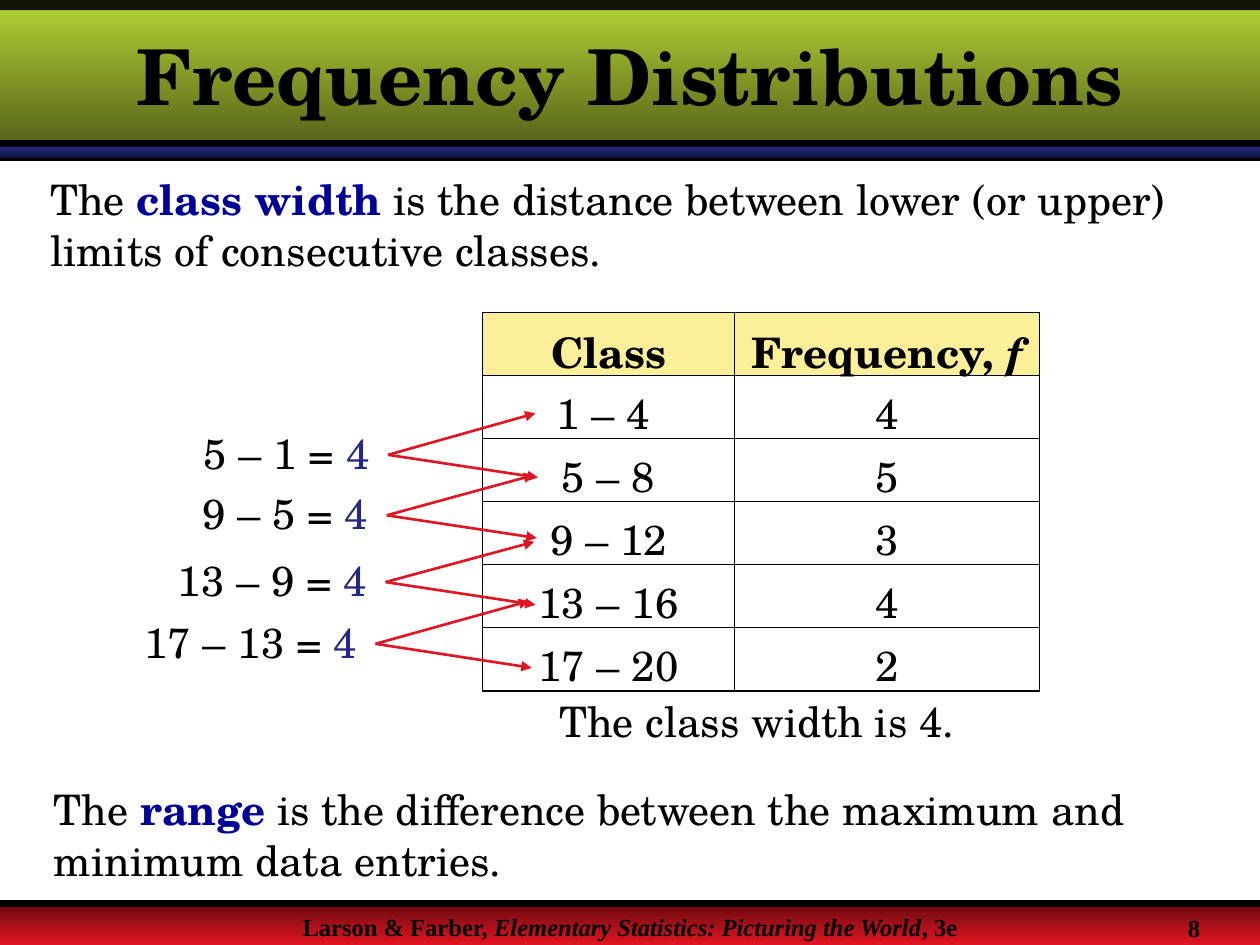
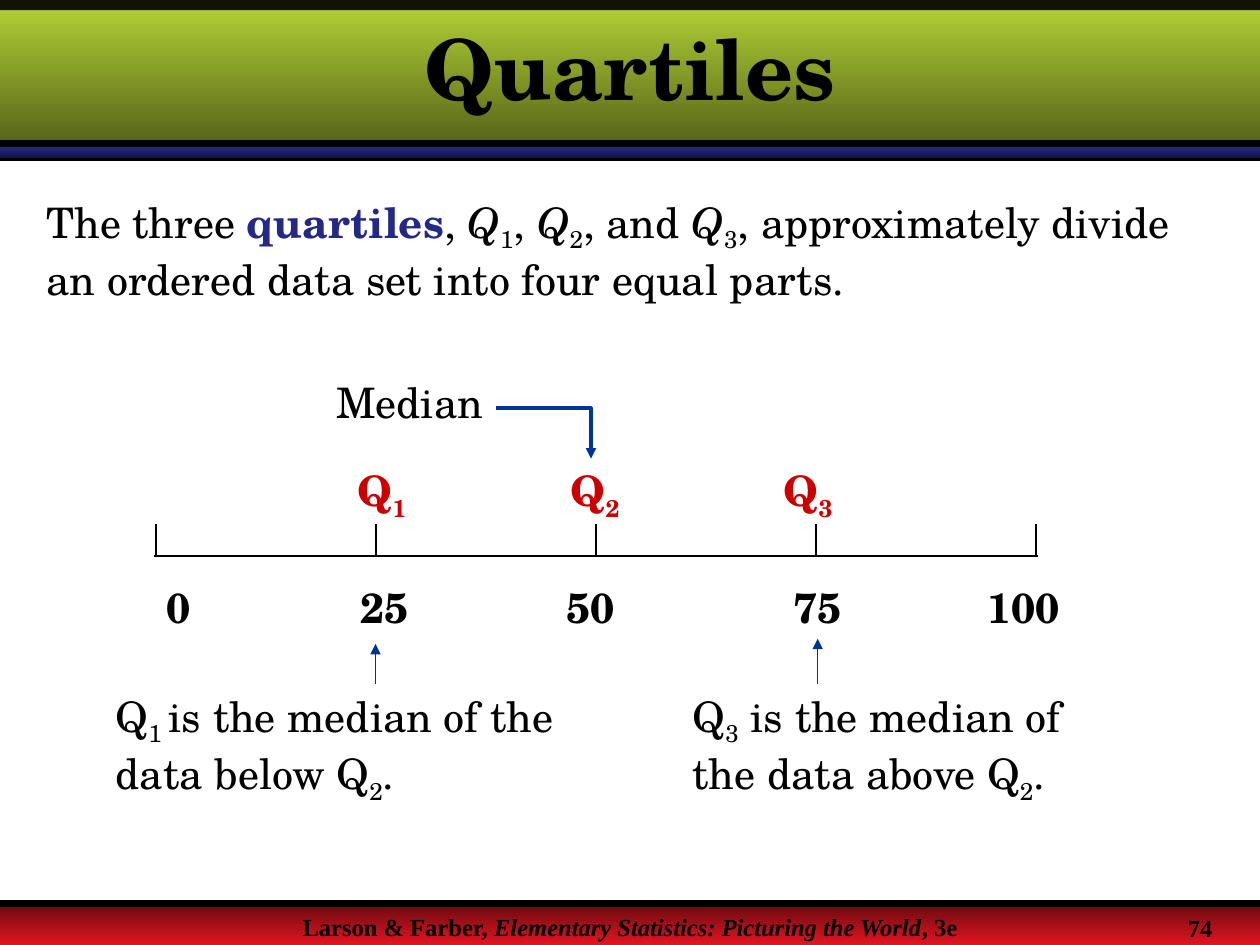
from lxml import etree
from pptx import Presentation
from pptx import util as u
from pptx.dml.color import RGBColor
from pptx.enum import shapes, text
from pptx.oxml.ns import qn

SERIF, FOOTER_FONT = "TeX Gyre Schola", "Times New Roman"
BLACK, RED, NAVY = "000000", "E11521", "242985"
TERM, QUARTILE, ARROW, HEADER = "000099", "CC0000", "003399", "FBE136"
BOLD_TERM = {"bold": True, "color": TERM}
ITALIC, SUB = {"italic": True}, {"sub": True}
LEFT, CENTER, RIGHT = text.PP_ALIGN.LEFT, text.PP_ALIGN.CENTER, text.PP_ALIGN.RIGHT


def rgb(value):
    return RGBColor.from_string(value)


def inches(*lengths):
    return [u.Inches(length) for length in lengths]


def add_alpha(fill_parent, percent):
    color = fill_parent.find(qn("a:solidFill"))[0]
    etree.SubElement(color, qn("a:alpha")).set("val", str(percent * 1000))


# Text
def style(font, size=24, color=BLACK, bold=False, name=SERIF):
    font.name, font.size, font.bold = name, u.Pt(size), bold
    font.color.rgb = rgb(color)


def fill_paragraph(p, runs, align=LEFT, **font):
    """Runs are plain strings or (string, options) pairs."""
    p.alignment = align
    style(p.font, **font)
    for run in [runs] if isinstance(runs, str) else runs:
        content, options = (run, {}) if isinstance(run, str) else run
        r = p.add_run()
        r.text = content
        if "bold" in options:
            r.font.bold = True
        if "italic" in options:
            r.font.italic = True
        if "color" in options:
            r.font.color.rgb = rgb(options["color"])
        if "sub" in options:
            r._r.get_or_add_rPr().set("baseline", "-25000")


def add_text(s, box, runs, **options):
    tf = s.shapes.add_textbox(*inches(*box)).text_frame
    tf.word_wrap = True
    fill_paragraph(tf.paragraphs[0], runs, **options)


def set_title(s, box, title, size):
    sp = s.shapes.title
    sp.left, sp.top, sp.width, sp.height = inches(*box)
    tf = sp.text_frame
    tf.auto_size = text.MSO_AUTO_SIZE.NONE
    tf.vertical_anchor = text.MSO_ANCHOR.MIDDLE
    fill_paragraph(tf.paragraphs[0], title, CENTER, size=size, bold=True)


# Lines and bands
def set_line(sp, color, width, arrow):
    sp.line.color.rgb = rgb(color)
    sp.line.width = u.Pt(width)
    if arrow:
        ln = sp._element.spPr.find(qn("a:ln"))
        etree.SubElement(ln, qn("a:tailEnd")).set("type", "triangle")


def add_line(s, start, end, color=BLACK, width=1, arrow=False):
    line = s.shapes.add_connector(
        shapes.MSO_CONNECTOR.STRAIGHT, *inches(*start, *end))
    set_line(line, color, width, arrow)
    etree.SubElement(line._element.spPr, qn("a:effectLst"))


def add_bent_arrow(s, points, color, width):
    start, *rest = [tuple(inches(*point)) for point in points]
    builder = s.shapes.build_freeform(*start)
    builder.add_line_segments(rest, close=False)
    sp = builder.convert_to_shape()
    sp.shadow.inherit = False
    sp.fill.background()
    set_line(sp, color, width, True)


def add_band(s, top, height, *colors):
    sp = s.shapes.add_shape(
        shapes.MSO_SHAPE.RECTANGLE, *inches(0, top, 10, height))
    sp.shadow.inherit = False
    sp.line.fill.background()
    if len(colors) == 1:
        sp.fill.solid()
        sp.fill.fore_color.rgb = rgb(colors[0])
        add_alpha(sp._element.spPr, 90)
        return
    sp.fill.gradient()
    sp.fill.gradient_angle = 270
    for stop, color in zip(sp.fill.gradient_stops, colors):
        stop.color.rgb = rgb(color)


def dress_layout(prs, layout):
    """Draw the shared bands and footer, then hand them to the layout."""
    for placeholder in list(layout.placeholders)[1:]:
        layout.shapes._spTree.remove(placeholder._element)
    s = prs.slides[0]
    add_band(s, 7.17, 0.33, "680A0F", RED)
    add_line(s, (0, 1.25), (10, 1.25), width=4)
    add_text(s, (0, 7.19, 10, 0.2),
             ["Larson & Farber, ",
              ("Elementary Statistics: Picturing the World", ITALIC), ", 3e"],
             align=CENTER, size=14, bold=True, name=FOOTER_FONT)
    add_band(s, 1.17, 0.08, NAVY, "11133E")
    add_band(s, 0, 1.17, "B5D335", "546219")
    add_line(s, (0, 7.17), (10, 7.17), width=4)
    add_band(s, 0, 0.08, BLACK)
    add_line(s, (0, 1.14), (10, 1.14), width=4)
    for sp in list(s.shapes):
        if not sp.is_placeholder:
            layout.shapes._spTree.append(sp._element)


def add_page_number(s, number):
    add_text(s, (9.33, 7.2, 0.67, 0.3), number,
             size=14, bold=True, name=FOOTER_FONT)


# Table
def set_borders(cell, widths):
    tcPr = cell._tc.get_or_add_tcPr()
    for side, width in widths.items():
        ln = etree.SubElement(tcPr, qn(f"a:ln{side}"), w=str(u.Pt(width)))
        solid = etree.SubElement(ln, qn("a:solidFill"))
        etree.SubElement(solid, qn("a:srgbClr"), val=BLACK)


def add_frequency_table(s, left, top, col_widths, row_height, rows):
    last_row, last_col = len(rows) - 1, len(col_widths) - 1
    table = s.shapes.add_table(
        len(rows), len(col_widths),
        *inches(left, top, sum(col_widths), row_height * len(rows))).table
    table.first_row = table.horz_banding = False
    for column, width in zip(table.columns, col_widths):
        column.width = u.Inches(width)
    thin, thick = 0.45, 1.08
    for i, row in enumerate(rows):
        table.rows[i].height = u.Inches(row_height)
        for j, content in enumerate(row):
            cell = table.cell(i, j)
            fill_paragraph(cell.text_frame.paragraphs[0], content, CENTER,
                           bold=i == 0)
            set_borders(cell, {"L": thin if j else thick,
                               "R": thick if j == last_col else thin,
                               "T": thin if i else thick,
                               "B": thick if i == last_row else thin})
            if i:
                cell.fill.background()
            else:
                cell.fill.solid()
                cell.fill.fore_color.rgb = rgb(HEADER)
                add_alpha(cell._tc.tcPr, 50)


# Slides
def build_class_width(s):
    add_page_number(s, "8")
    add_frequency_table(
        s, 3.83, 2.48, (2, 2.42), 0.5,
        [("Class", ["Frequency, ", ("f", ITALIC)]),
         ("1 – 4 ", "4"), ("5 – 8", "5"), ("9 – 12", "3"),
         ("13 – 16", "4"), ("17 – 20", "2")])
    set_title(s, (0, 0.05, 10, 1.08), "Frequency Distributions", 44)
    add_text(s, (0.3, 1.33, 9.17, 1.15),
             ["The ", ("class width", BOLD_TERM),
              " is the distance between lower (or upper) limits of "
              "consecutive classes."])
    add_text(s, (4.34, 5.47, 3.8, 0.5), "The class width is 4.")

    # Differences of lower limits, each pointing at its two classes
    differences = [
        ("5 – 1 = ", 3.03, 3.34, (4.25, 3.28), (4.27, 3.79)),
        ("9 – 5 = ", 3.02, 3.82, (4.24, 3.77), (4.26, 4.27)),
        ("13 – 9 = ", 3.01, 4.35, (4.24, 4.3), (4.25, 4.8)),
        ("17 – 13 = ", 2.93, 4.84, (4.2, 4.77), (4.22, 5.3))]
    for difference, right, top, *tips in differences:
        add_text(s, (right - 1.9, top, 1.9, 0.5),
                 [difference, ("4", {"color": NAVY})], align=RIGHT)
        for tip in tips:
            add_line(s, (right + 0.05, top + 0.27), tip, RED, 1.5, True)

    add_text(s, (0.33, 6.17, 9.17, 1.15),
             ["The ", ("range", BOLD_TERM),
              " is the difference between the maximum and minimum data "
              "entries."])


def build_quartiles(s):
    add_page_number(s, "74")
    set_title(s, (0, 0.12, 10, 0.83), "Quartiles", 48)
    q = ("Q", ITALIC)
    add_text(s, (0.27, 1.51, 9.25, 0.96),
             ["The three ", ("quartiles", {"bold": True, "color": NAVY}),
              ", ", q, ("1", SUB), ", ", q, ("2", SUB), ", and ", q,
              ("3", SUB),
              ", approximately divide an ordered data set into four equal "
              "parts."])
    add_text(s, (2.57, 2.94, 1.83, 0.5), "Median")
    add_bent_arrow(s, [(3.94, 3.24), (4.69, 3.24), (4.69, 3.64)], ARROW, 2)

    # Number line
    axis_y = 4.41
    add_line(s, (1.22, axis_y), (8.24, axis_y))
    labels = [("0", 1.22), ("25", 2.76), ("50", 4.4), ("75", 6.2),
              ("100", 7.74)]
    for i, (label, left) in enumerate(labels):
        tick_x = 1.24 + 6.98 / 4 * i
        add_line(s, (tick_x, axis_y), (tick_x, axis_y - 0.25))
        add_text(s, (left, 4.57, 0.92, 0.5), label, bold=True)
    for i in range(3):
        add_text(s, (2.74 + 1.69 * i, 3.64, 0.81, 0.56),
                 ["Q", (str(i + 1), SUB)], color=QUARTILE, bold=True)

    # Notes under the outer quartiles
    notes = [
        (0.82, 3.75, "1 ", "is the median of the data below Q", 2.98, 5.11),
        (5.4, 3.43, "3", " is the median of the data above Q", 6.49, 5.07)]
    for left, width, index, note, arrow_x, tip_y in notes:
        add_text(s, (left, 5.43, width, 1.01),
                 ["Q", (index, SUB), note, ("2", SUB), "."])
        add_line(s, (arrow_x, 5.43), (arrow_x, tip_y), ARROW, 0.75, True)


def main():
    prs = Presentation()
    prs.slide_width, prs.slide_height = inches(10, 7.5)
    layout = prs.slide_layouts[5]
    class_width, quartiles = [prs.slides.add_slide(layout) for _ in range(2)]
    dress_layout(prs, layout)
    build_class_width(class_width)
    build_quartiles(quartiles)
    prs.save("out.pptx")


if __name__ == "__main__":
    main()
